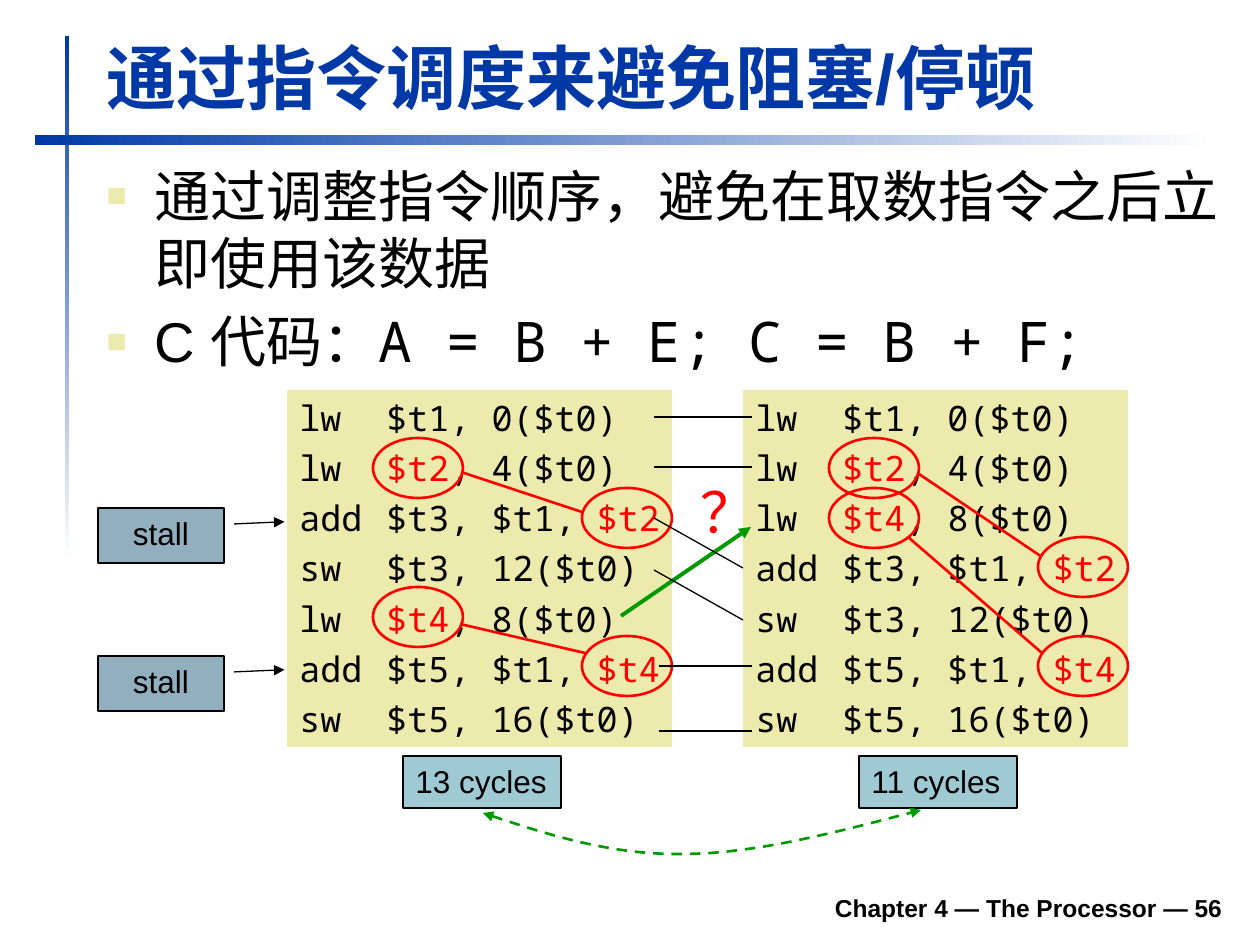
from lxml import etree
from pptx import Presentation, util as u
from pptx.dml.color import RGBColor
from pptx.enum import dml, shapes, text
from pptx.oxml.ns import qn

BLUE, SAND, RED, GREEN = "0039A6", "ECEAAC", "FF0000", "009900"
BLACK, WHITE, STEEL, AQUA = "000000", "FFFFFF", "91AFBF", "9FCAD3"
SANS, MONO = "Arial", "Noto Sans Mono"


def px(length):
    return u.Emu(round(length * 914400 / 126))


def rgb(code):
    return RGBColor.from_string(code)


def add_xml(parent, tag, **attributes):
    return etree.SubElement(parent, qn(tag), attributes)


def write(paragraph, runs, size=18, color=BLACK, font=SANS, bold=False,
          align=text.PP_ALIGN.LEFT, before=None):
    """Fill a paragraph with a string or with (string, overrides) pairs."""
    paragraph.alignment = align
    if before is not None:
        paragraph.space_before = u.Pt(before)
    for words, changes in [(runs, {})] if isinstance(runs, str) else runs:
        run = paragraph.add_run()
        run.text = words
        run.font.size, run.font.bold = u.Pt(size), bold
        run.font.name = changes.get("font", font)
        run.font.color.rgb = rgb(changes.get("color", color))


class Deck:
    def __init__(self):
        self.file = Presentation()
        self.file.slide_width, self.file.slide_height = px(1260), px(945)
        self.slide = self.file.slides.add_slide(self.file.slide_layouts[1])
        self.items = self.slide.shapes

    def frame(self, shape, anchor=text.MSO_ANCHOR.TOP):
        frame = shape.text_frame
        frame.word_wrap = True
        frame.auto_size = text.MSO_AUTO_SIZE.NONE
        frame.vertical_anchor = anchor
        return frame

    def placeholder(self, index, x, y, w, h, anchor):
        shape = self.slide.placeholders[index]
        shape.left, shape.top, shape.width, shape.height = map(px, (x, y, w, h))
        return self.frame(shape, anchor)

    def label(self, x, y, w, h, words, anchor=text.MSO_ANCHOR.TOP, **fmt):
        box = self.items.add_textbox(px(x), px(y), px(w), px(h))
        write(self.frame(box, anchor).paragraphs[0], words, **fmt)

    def stroke(self, shape, color, width, dash=False, heads=()):
        shape.line.color.rgb = rgb(color)
        shape.line.width = u.Pt(width)
        if dash:
            shape.line.dash_style = dml.MSO_LINE.DASH
        for end in heads:
            add_xml(shape.line._get_or_add_ln(), f"a:{end}", type="triangle")

    def box(self, kind, x, y, w, h, fill=None, line=None, width=0.75):
        shape = self.items.add_shape(kind, px(x), px(y), px(w), px(h))
        shape.shadow.inherit = False
        if fill:
            shape.fill.solid()
            shape.fill.fore_color.rgb = rgb(fill)
        else:
            shape.fill.background()
        if line:
            self.stroke(shape, line, width)
        else:
            shape.line.fill.background()
        return shape

    def fading_bar(self, x, y, w, h, angle):
        bar = self.box(shapes.MSO_SHAPE.RECTANGLE, x, y, w, h)
        bar.fill.gradient()
        bar.fill.gradient_angle = angle
        for stop, color in zip(bar.fill.gradient_stops, (BLUE, WHITE)):
            stop.color.rgb = rgb(color)

    def line(self, x1, y1, x2, y2, color=BLACK, width=0.75, heads=()):
        link = self.items.add_connector(shapes.MSO_CONNECTOR.STRAIGHT,
                                        px(x1), px(y1), px(x2), px(y2))
        self.stroke(link, color, width, heads=heads)
        add_xml(link._element.spPr, "a:effectLst")

    def curve(self, start, *segments, steps=16):
        """Trace cubic segments, each given as two handles and an end."""
        points = [start]
        for handle1, handle2, end in segments:
            knots = list(zip(points[-1], handle1, handle2, end))
            for t in (i / steps for i in range(1, steps + 1)):
                s = 1 - t
                points.append(tuple(a * s**3 + 3 * b * s * s * t + 3 * c * s * t * t + d * t**3
                                    for a, b, c, d in knots))
        path = [(px(x), px(y)) for x, y in points]
        builder = self.items.build_freeform(*path[0])
        builder.add_line_segments(path[1:], close=False)
        shape = builder.convert_to_shape()
        shape.shadow.inherit = False
        shape.fill.background()
        self.stroke(shape, GREEN, 1.5, dash=True, heads=("headEnd", "tailEnd"))

    def stall(self, y):
        callout = self.box(shapes.MSO_SHAPE.LINE_CALLOUT_1, 98, y, 126, 55, STEEL, BLACK)
        for i, value in enumerate((0.29, 1.08, 0.25, 1.48)):
            callout.adjustments[i] = value
        add_xml(callout.line._get_or_add_ln(), "a:tailEnd", type="triangle")
        write(self.frame(callout).paragraphs[0], "stall", align=text.PP_ALIGN.CENTER)

    def program(self, x, code, cycles):
        """Code panel with its hazard registers circled and its cycle count."""
        panel = self.box(shapes.MSO_SHAPE.RECTANGLE, x, 390, 385, 357, SAND)
        frame = self.frame(panel)
        frame.margin_right = 0
        for row, (operation, lead, register, rest) in enumerate(code):
            paragraph = frame.add_paragraph() if row else frame.paragraphs[0]
            runs = [(f"{operation}\t{lead}", {})]
            if register:
                runs.append((register, {"color": RED}))
            if rest:
                runs.append((rest, {}))
            write(paragraph, runs, size=20, font=MONO, before=4.7 if row else 0)
            tabs = add_xml(paragraph._p.get_or_add_pPr(), "a:tabLst")
            add_xml(tabs, "a:tab", pos=str(px(87)), algn="l")
            if register:
                self.box(shapes.MSO_SHAPE.OVAL, x + (295 if lead else 86),
                         round(388.4 + 49.6 * row), 90, 60, line=RED, width=1.5)
        count = self.box(shapes.MSO_SHAPE.RECTANGLE, x + 116, 756, 158, 52, AQUA, BLACK)
        count_frame = self.frame(count)
        count_frame.margin_right = 0
        write(count_frame.paragraphs[0], cycles)


def main():
    deck = Deck()

    # Template rules and footer
    deck.fading_bar(65, 36, 4, 525, 270)
    deck.fading_bar(35, 135, 1180, 10, 0)
    deck.label(233, 879, 1002, 50, "Chapter 4 — The Processor — 56", size=14, bold=True,
               align=text.PP_ALIGN.RIGHT, anchor=text.MSO_ANCHOR.BOTTOM)

    # Title and bullets
    title = deck.placeholder(0, 94, 28, 1138, 97, text.MSO_ANCHOR.BOTTOM)
    write(title.paragraphs[0], "通过指令调度来避免阻塞/停顿", size=40, color=BLUE, bold=True)
    body = deck.placeholder(1, 94, 155, 1140, 254, text.MSO_ANCHOR.TOP)
    points = ["通过调整指令顺序，避免在取数指令之后立即使用该数据",
              [("C 代码：", {}), ("A = B + E; C = B + F;", {"font": MONO})]]
    for i, point in enumerate(points):
        paragraph = body.add_paragraph() if i else body.paragraphs[0]
        write(paragraph, point, size=32, before=None if i else 0)
        properties = paragraph._p.get_or_add_pPr()
        properties.set("marL", str(px(48)))
        properties.set("indent", str(px(-48)))
        add_xml(add_xml(properties, "a:buClr"), "a:srgbClr", val=SAND)
        add_xml(properties, "a:buSzPct", val="60000")
        add_xml(properties, "a:buChar", char="■")

    # Code before and after moving the second load up
    before = [("lw", "$t1, 0($t0)", "", ""),
              ("lw", "", "$t2", ", 4($t0)"),
              ("add", "$t3, $t1, ", "$t2", ""),
              ("sw", "$t3, 12($t0)", "", ""),
              ("lw", "", "$t4", ", 8($t0)"),
              ("add", "$t5, $t1, ", "$t4", ""),
              ("sw", "$t5, 16($t0)", "", "")]
    after = before[:2] + [before[4]] + before[2:4] + before[5:]
    deck.program(287, before, "13 cycles")
    deck.program(743, after, "11 cycles")
    for y in (508, 656):
        deck.stall(y)

    # Data dependences
    for ends in ((461, 472, 582, 512), (460, 624, 585, 653),
                 (919, 474, 1042, 557), (908, 537, 1042, 653)):
        deck.line(*ends, color=RED, width=1.5)

    # Where each instruction goes
    deck.line(621, 616, 751, 527, color=GREEN, width=2.25, heads=("tailEnd",))
    for ends in ((654, 417, 752, 417), (654, 467, 752, 467), (654, 518, 743, 568),
                 (654, 570, 743, 620), (659, 666, 752, 666), (659, 731, 752, 731)):
        deck.line(*ends)
    deck.label(688, 471, 66, 81, "？", size=32, color=RED)

    # Comparison of cycle counts
    deck.curve((483, 813), ((546, 834), (609, 855), (682, 854)),
               ((755, 854), (838, 832), (921, 810)))

    deck.file.save("out.pptx")


if __name__ == "__main__":
    main()
